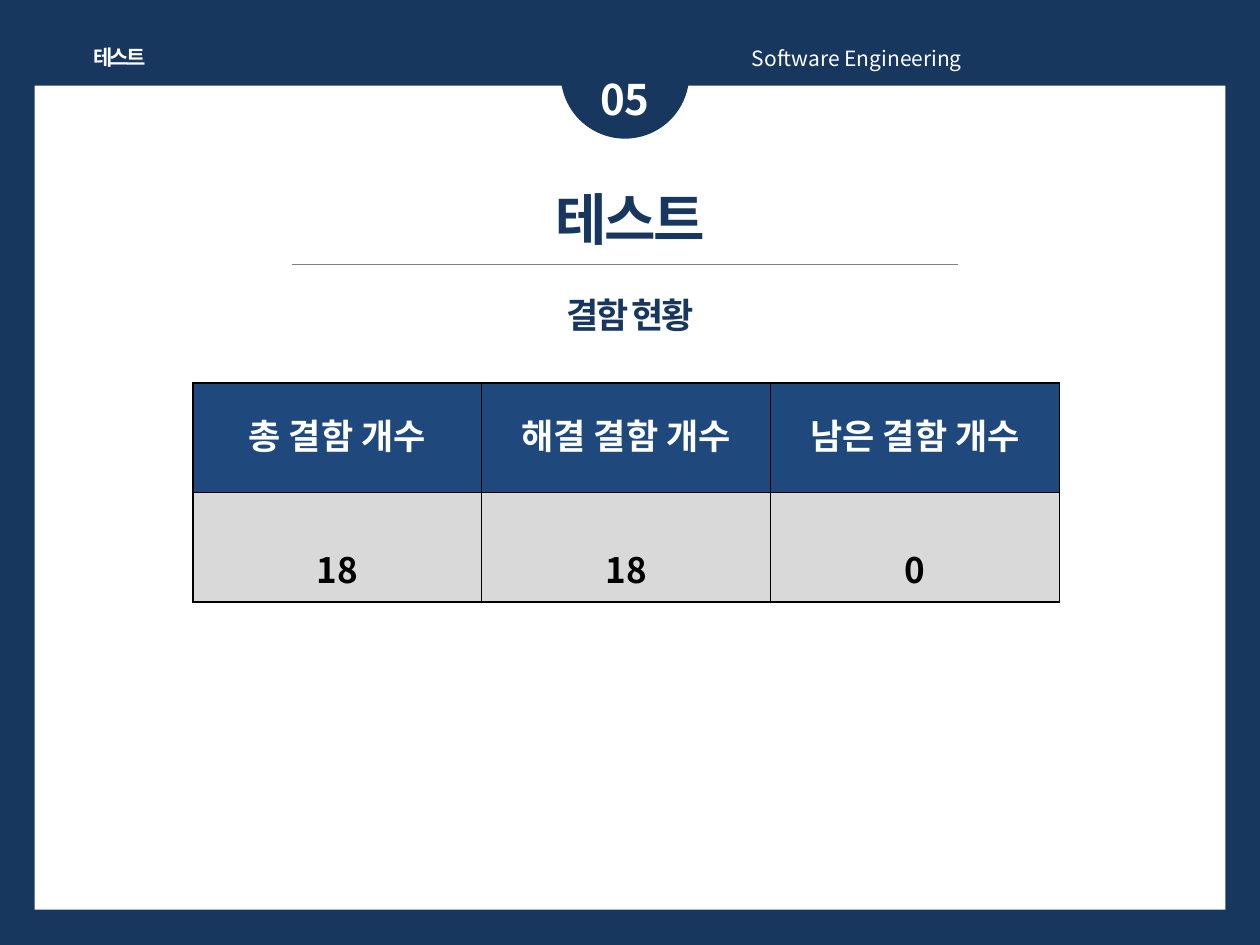
import dataclasses
import typing

import lxml.etree
import pptx
import pptx.dml.color
import pptx.enum.shapes
import pptx.enum.text
import pptx.oxml.ns
import pptx.util

FONT = "Noto Sans CJK KR"
NAVY, WHITE, BLACK = "17375E", "FFFFFF", "000000"
WIDE, HIGH = pptx.util.Inches(10), pptx.util.Inches(7.5)
KIND = pptx.enum.shapes.MSO_SHAPE
ALIGN = pptx.enum.text.PP_ALIGN
FIT = pptx.enum.text.MSO_AUTO_SIZE.SHAPE_TO_FIT_TEXT


class Box(typing.NamedTuple):
    """Left, top, width and height as percentages of the slide."""
    left: float
    top: float
    width: float
    height: float

    def place(self) -> tuple[int, int, int, int]:
        """Return the lengths in slide units."""
        return (int(WIDE * self.left / 100), int(HIGH * self.top / 100),
                int(WIDE * self.width / 100), int(HIGH * self.height / 100))


@dataclasses.dataclass
class Line:
    """One paragraph of styled text."""
    text: str
    size: float
    color: str = WHITE
    bold: bool = True
    track: int = 0
    align: typing.Any = ALIGN.CENTER
    before: float = 0


@dataclasses.dataclass
class Label:
    """A text box and its lines."""
    box: Box
    lines: list[Line]
    wrap: bool = True


@dataclasses.dataclass
class Band:
    """The look of one table row."""
    texts: list[str]
    fill: str
    color: str
    space: float


LABELS = [
    Label(Box(58.7, 4, 39.4, 6.67),
          [Line("Software Engineering", 12, bold=False, align=ALIGN.JUSTIFY)]),
    Label(Box(43.7, 6.93, 11.8, 6.67), [Line("05", 24)]),
    Label(Box(26.4, 18.53, 47.2, 17.47),
          [Line("테스트", 32, NAVY, track=-150),
           Line("결함 현황", 20, NAVY, track=-150, before=23)]),
    Label(Box(6.3, 4, 6.4, 4), [Line("테스트", 12, track=-150)], wrap=False),
]
BANDS = [
    Band(["총 결함 개수", "해결 결함 개수", "남은 결함 개수"], "1F497D", WHITE, 1.5),
    Band(["18", "18", "0"], "D9D9D9", BLACK, 2.0),
]


def paint(fill: typing.Any, color: str) -> None:
    """Make a fill solid in a hex colour."""
    fill.solid()
    fill.fore_color.rgb = pptx.dml.color.RGBColor.from_string(color)


def child(node: typing.Any, tag: str, **attrs: str) -> typing.Any:
    """Append an XML element."""
    return lxml.etree.SubElement(node, pptx.oxml.ns.qn(tag), **attrs)


def write(para: typing.Any, line: Line) -> None:
    """Add one styled run to a paragraph."""
    para.alignment = line.align
    run = para.add_run()
    run.text = line.text
    font = run.font
    font.name, font.size, font.bold = FONT, pptx.util.Pt(line.size), line.bold
    paint(font.fill, line.color)
    props = run._r.get_or_add_rPr()
    child(props, "a:ea", typeface=FONT)
    if line.track:
        props.set("spc", str(line.track))


def shape(slide: typing.Any, kind: typing.Any, box: Box, color: str) -> None:
    """Draw a plain filled shape."""
    item = slide.shapes.add_shape(kind, *box.place())
    item.shadow.inherit = False
    item.line.fill.background()
    paint(item.fill, color)


def label(slide: typing.Any, item: Label) -> None:
    """Draw a text box."""
    frame = slide.shapes.add_textbox(*item.box.place()).text_frame
    frame.word_wrap, frame.auto_size = item.wrap, FIT
    for i, line in enumerate(item.lines):
        para = frame.add_paragraph() if i else frame.paragraphs[0]
        para.line_spacing = pptx.util.Pt(line.size * 1.25)
        para.space_before = pptx.util.Pt(line.before)
        write(para, line)


def rule(slide: typing.Any, box: Box) -> None:
    """Draw a thin grey line."""
    left, top, width, height = box.place()
    line = slide.shapes.add_connector(pptx.enum.shapes.MSO_CONNECTOR.STRAIGHT,
                                      left, top, left + width, top + height)
    line.line.width = pptx.util.Pt(0.75)
    paint(line.line.fill, "808080")
    child(line._element.spPr, "a:effectLst")


def edge(cell: typing.Any) -> None:
    """Give a cell its four black borders."""
    props = cell._tc.get_or_add_tcPr()
    for side in "LRTB":
        line = child(props, f"a:ln{side}", w=str(pptx.util.Pt(1)))
        child(child(line, "a:solidFill"), "a:srgbClr", val=BLACK)


def table(slide: typing.Any, box: Box, bands: list[Band]) -> None:
    """Draw the defect table."""
    grid = slide.shapes.add_table(len(bands), len(bands[0].texts), *box.place()).table
    for r, band in enumerate(bands):
        for c, text in enumerate(band.texts):
            cell = grid.cell(r, c)
            cell.margin_left = cell.margin_right = pptx.util.Inches(0.07)
            cell.margin_top = cell.margin_bottom = 0
            edge(cell)
            paint(cell.fill, band.fill)
            para = cell.text_frame.paragraphs[0]
            para.line_spacing = band.space
            write(para, Line(text, 20, band.color))


def main() -> None:
    """Build and save the slide."""
    deck = pptx.Presentation()
    deck.slide_width, deck.slide_height = WIDE, HIGH
    slide = deck.slides.add_slide(deck.slide_layouts[6])
    paint(slide.background.fill, NAVY)
    shape(slide, KIND.RECTANGLE, Box(2.75, 9.07, 94.5, 87.2), WHITE)
    shape(slide, KIND.OVAL, Box(44.5, 1.07, 10.2, 13.6), NAVY)
    for item in LABELS:
        label(slide, item)
    rule(slide, Box(23.2, 28, 52.8, 0))
    table(slide, Box(15.3, 40.53, 68.8, 23.15), BANDS)
    deck.save("out.pptx")


if __name__ == "__main__":
    main()
